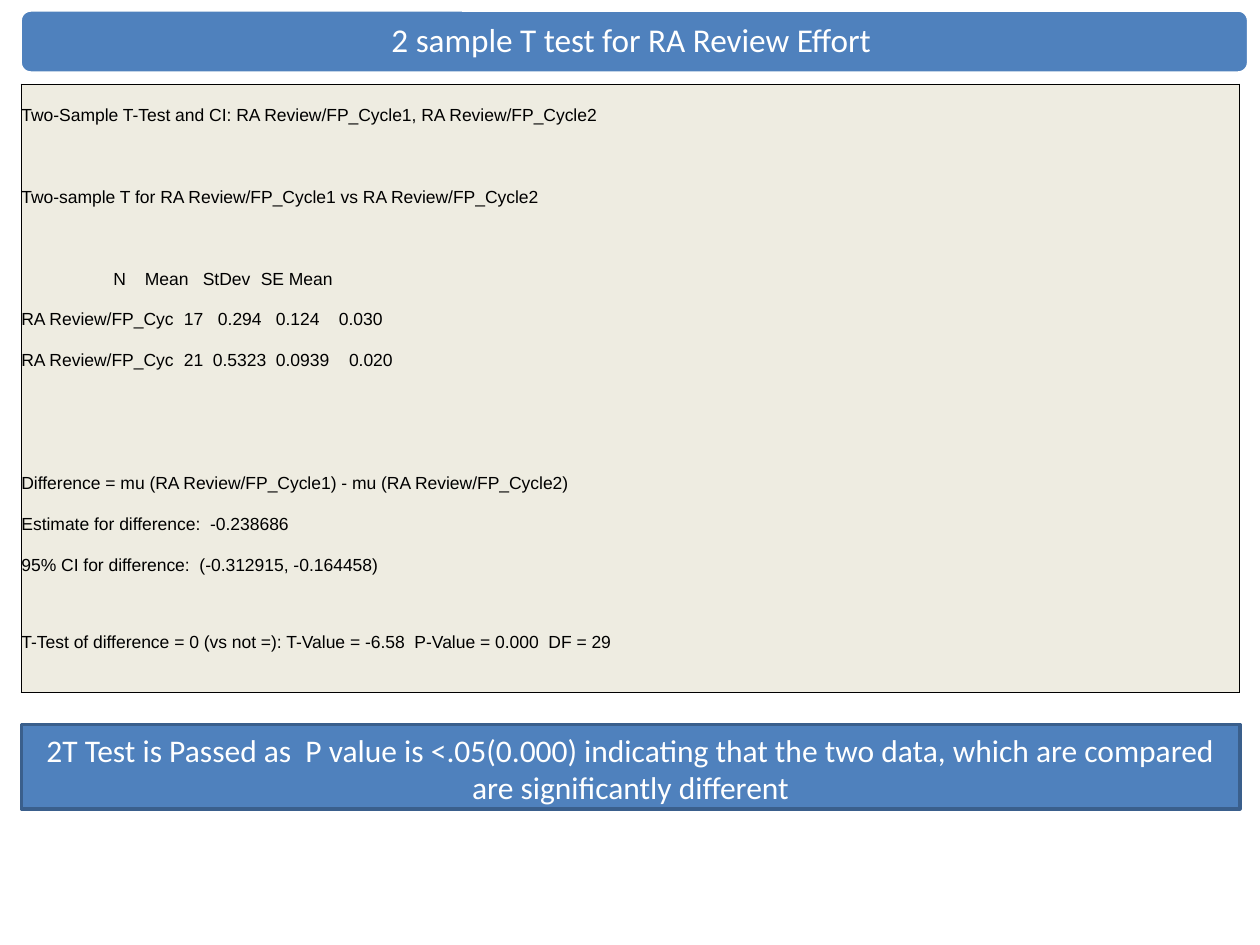
from lxml import etree
from pptx import Presentation
from pptx.dml.color import RGBColor
from pptx.enum import shapes, text
from pptx.oxml.ns import qn
from pptx.util import Inches, Pt

BLUE = RGBColor(0x4F, 0x81, 0xBD)
DARK_BLUE = RGBColor(0x3A, 0x5F, 0x8C)
CREAM = RGBColor(0xEE, 0xEC, 0xE1)
WHITE = RGBColor(0xFF, 0xFF, 0xFF)
BLACK = RGBColor(0, 0, 0)

NO_STYLE = "{2D5ABB26-0587-4C30-8999-92F81FD0307C}"
COLUMN_COUNT = 7
ROW_COUNT = 14
TABLE_WIDTH, TABLE_HEIGHT = 9.67, 4.83
TALL_ROW, TALL_HEIGHT = 12, 0.61

# Row number: (text, columns spanned, tab stops in inches)
RESULTS = {
    0: ("Two-Sample T-Test and CI: RA Review/FP_Cycle1, RA Review/FP_Cycle2", 7, ()),
    2: ("Two-sample T for RA Review/FP_Cycle1 vs RA Review/FP_Cycle2", 7, ()),
    4: ("\tN\tMean\tStDev\tSE Mean", 4, (0.73, 0.98, 1.44, 1.9)),
    5: ("RA Review/FP_Cyc\t17\t0.294\t0.124\t0.030", 5, (1.29, 1.56, 2.02, 2.52)),
    6: ("RA Review/FP_Cyc\t21\t0.5323\t0.0939\t0.020", 5, (1.29, 1.52, 2.02, 2.6)),
    9: ("Difference = mu (RA Review/FP_Cycle1) - mu (RA Review/FP_Cycle2)", 7, ()),
    10: ("Estimate for difference:  -0.238686", 4, ()),
    11: ("95% CI for difference:  (-0.312915, -0.164458)", 5, ()),
    12: ("T-Test of difference = 0 (vs not =): T-Value = -6.58  P-Value = 0.000  DF = 29", 7, ()),
}


def set_attributes(target, values):
    for name, value in values.items():
        setattr(target, name, value)


def format_text(paragraph, font_name, size, color, alignment):
    paragraph.alignment = alignment
    for run in paragraph.runs:
        set_attributes(run.font, {"name": font_name, "size": Pt(size)})
        run.font.color.rgb = color


def add_box(slide, kind, box, line_color):
    shape = slide.shapes.add_shape(kind, *map(Inches, box))
    shape.shadow.inherit = False
    shape.fill.solid()
    shape.fill.fore_color.rgb = BLUE
    shape.line.color.rgb = line_color
    shape.line.width = Pt(2)
    return shape


def add_title(slide, wording):
    banner = add_box(slide, shapes.MSO_SHAPE.ROUNDED_RECTANGLE,
                     (0.16, 0.08, 9.75, 0.5), WHITE)
    title = slide.shapes.title
    banner._element.addnext(title._element)  # title lies above its banner
    set_attributes(title, {"left": Inches(0.19), "top": Inches(0.11),
                           "width": Inches(9.7), "height": Inches(0.45)})
    frame = title.text_frame
    frame.text = wording
    margins = dict.fromkeys(("margin_left", "margin_right", "margin_top", "margin_bottom"),
                            Inches(0.08))
    set_attributes(frame, {**margins, "word_wrap": True,
                           "auto_size": text.MSO_AUTO_SIZE.NONE,
                           "vertical_anchor": text.MSO_ANCHOR.MIDDLE})
    frame.paragraphs[0].line_spacing = 0.9
    format_text(frame.paragraphs[0], "Calibri", 19, WHITE, text.PP_ALIGN.CENTER)


def add_conclusion(slide, wording):
    shape = add_box(slide, shapes.MSO_SHAPE.RECTANGLE, (0.17, 5.75, 9.67, 0.67), DARK_BLUE)
    frame = shape.text_frame
    frame.text = wording
    set_attributes(frame, {"word_wrap": True, "vertical_anchor": text.MSO_ANCHOR.TOP})
    format_text(frame.paragraphs[0], "Calibri", 18, WHITE, text.PP_ALIGN.CENTER)


def add_borders(cell, sides):
    properties = cell._tc.get_or_add_tcPr()
    for index, side in enumerate(sides):
        line = etree.Element(qn(f"a:ln{side}"), w=str(Pt(1)))
        fill = etree.SubElement(line, qn("a:solidFill"))
        etree.SubElement(fill, qn("a:srgbClr"), val=str(BLACK))
        properties.insert(index, line)


def add_tab_stops(paragraph, stops):
    tab_list = etree.SubElement(paragraph._p.get_or_add_pPr(), qn("a:tabLst"))
    for stop in stops:
        etree.SubElement(tab_list, qn("a:tab"), pos=str(Inches(stop)), algn="l")


def format_cell(cell, row, column):
    margins = ("margin_left", "margin_right", "margin_top", "margin_bottom")
    set_attributes(cell, dict.fromkeys(margins, 0))
    cell.vertical_anchor = text.MSO_ANCHOR.BOTTOM
    cell.fill.solid()
    cell.fill.fore_color.rgb = CREAM
    # Only the outer edge of the table is ruled
    last_column = column + cell.span_width - 1 if cell.is_merge_origin else column
    edges = {"L": column == 0, "R": last_column == COLUMN_COUNT - 1,
             "T": row == 0, "B": row == ROW_COUNT - 1}
    add_borders(cell, [side for side, outer in edges.items() if outer])


def add_results_table(slide):
    frame = slide.shapes.add_table(ROW_COUNT, COLUMN_COUNT, Inches(0.17), Inches(0.67),
                                   Inches(TABLE_WIDTH), Inches(TABLE_HEIGHT))
    table = frame.table
    set_attributes(table, {"first_row": False, "horz_banding": False})
    table._tbl.tblPr.find(qn("a:tableStyleId")).text = NO_STYLE
    row_height = (TABLE_HEIGHT - TALL_HEIGHT) / (ROW_COUNT - 1)
    for number, row in enumerate(table.rows):
        row.height = Inches(TALL_HEIGHT if number == TALL_ROW else row_height)

    # Result lines
    for number, (wording, span, stops) in RESULTS.items():
        cell = table.cell(number, 0)
        cell.merge(table.cell(number, span - 1))
        cell.text = wording
        paragraph = cell.text_frame.paragraphs[0]
        if stops:
            add_tab_stops(paragraph, stops)
        format_text(paragraph, "Arial", 10, BLACK, text.PP_ALIGN.LEFT)

    # Fill and outline
    for row in range(ROW_COUNT):
        for column in range(COLUMN_COUNT):
            format_cell(table.cell(row, column), row, column)


def main():
    presentation = Presentation()
    presentation.slide_width = Inches(10)
    presentation.slide_height = Inches(7.5)
    slide = presentation.slides.add_slide(presentation.slide_layouts[5])
    add_title(slide, "2 sample T test for RA Review Effort ")
    add_conclusion(slide, "2T Test is Passed as  P value is <.05(0.000) indicating that "
                          "the two data, which are compared are significantly different")
    add_results_table(slide)
    presentation.save("out.pptx")


if __name__ == "__main__":
    main()
